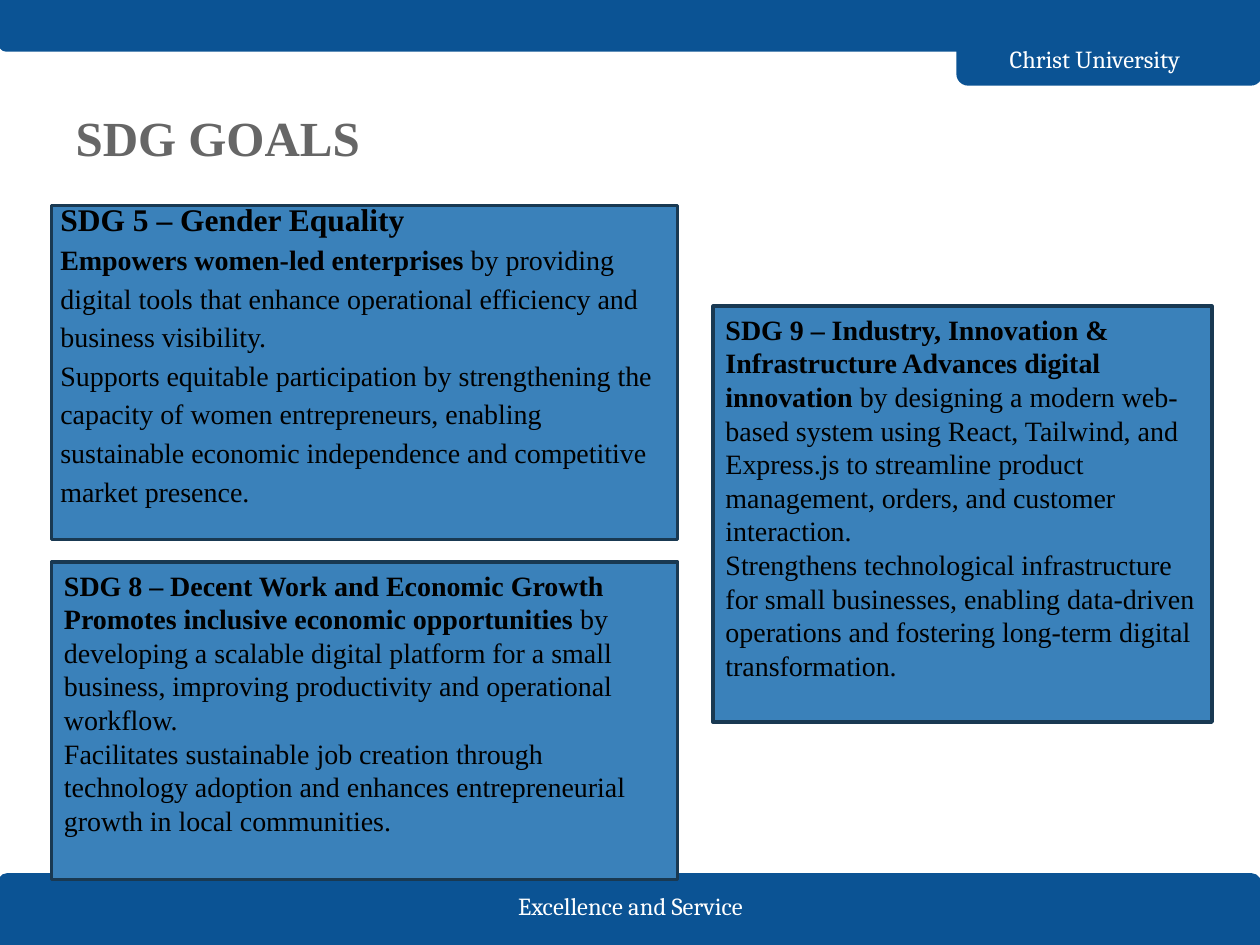
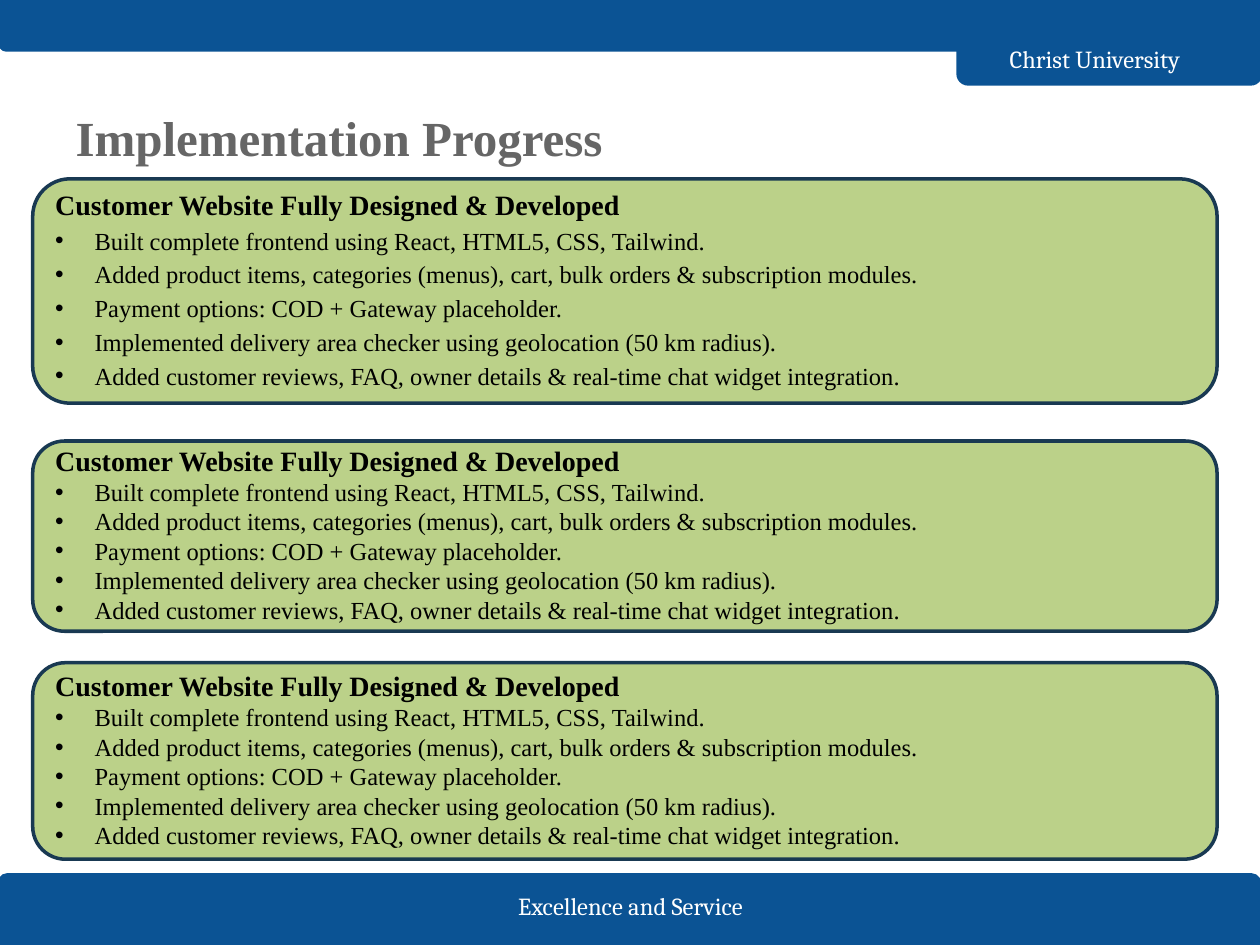
from pptx import Presentation
from pptx.dml.color import RGBColor
from pptx.enum.shapes import MSO_SHAPE as Geo
from pptx.enum.text import MSO_ANCHOR as Anchor, PP_ALIGN as Align
from pptx.oxml.ns import qn
from pptx.util import Pt
from lxml.etree import SubElement

HUE = {"band": "0B5394", "white": "FFFFFF", "title": "666666", "text": "000000",
       "card": "3A81BA", "panel": "BBD189", "edge": "193952"}
SERIF, LABEL = "Times New Roman", "Cambria"

GOALS = [
    # box, text box, inset, line spacing, heading size, paragraphs of (bold, plain)
    ((29.5, 117.4, 357.8, 190.8), (27.4, 103.7, 356.4, 217.4), 7.2, 1.15, 18, [
        ("SDG 5 – Gender Equality", ""),
        ("Empowers women-led enterprises", " by providing digital tools that enhance "
         "operational efficiency and business visibility."),
        ("", "Supports equitable participation by strengthening the capacity of women "
         "entrepreneurs, enabling sustainable economic independence and competitive "
         "market presence.")]),
    ((29.5, 321.1, 357.8, 181.4), None, 3.6, 1, 16, [
        ("SDG 8 – Decent Work and Economic Growth", ""),
        ("Promotes inclusive economic opportunities ", "by developing a scalable digital "
         "platform for a small business, improving productivity and operational workflow."),
        ("", "Facilitates sustainable job creation through technology adoption and "
         "enhances entrepreneurial growth in local communities.")]),
    ((407.5, 175, 285.1, 237.6), None, 3.6, 1, 16, [
        ("SDG 9 – Industry, Innovation & Infrastructure Advances digital innovation ",
         "by designing a modern web-based system using React, Tailwind, and Express.js to "
         "streamline product management, orders, and customer interaction."),
        ("", "Strengthens technological infrastructure for small businesses, enabling "
         "data-driven operations and fostering long-term digital transformation.")]),
]

HEAD = "Customer Website Fully Designed & Developed"
STEPS = [
    "Built complete frontend using React, HTML5, CSS, Tailwind.",
    "Added product items, categories (menus), cart, bulk orders & subscription modules.",
    "Payment options: COD + Gateway placeholder.",
    "Implemented delivery area checker using geolocation (50 km radius).",
    "Added customer reviews, FAQ, owner details & real-time chat widget integration.",
]
# top, height, text offset, line spacing
PANELS = [(102.2, 128.2, -1.4, 1.15), (252, 108.7, -2.2, 1), (378.7, 112.3, 0, 1)]


def tint(name):
    return RGBColor.from_string(HUE[name])


def style(item, size, color="text", face=SERIF, bold=False):
    font = item.font
    font.name, font.size, font.bold = face, Pt(size), bold
    font.color.rgb = tint(color)


def block(slide, geo, box, fill, edge, width):
    shape = slide.shapes.add_shape(geo, *map(Pt, box))
    shape.shadow.inherit = False
    shape.fill.solid()
    shape.fill.fore_color.rgb = tint(fill)
    shape.line.color.rgb = tint(edge)
    shape.line.width = Pt(width)
    return shape


def setup(frame, inset, anchor=Anchor.TOP):
    """Wrap a text frame, with 7.2 pt sides and the given top and bottom inset."""
    frame.word_wrap = True
    frame.vertical_anchor = anchor
    frame.margin_left = frame.margin_right = Pt(7.2)
    frame.margin_top = frame.margin_bottom = Pt(inset)
    return frame


def write(slide, box, inset, anchor=Anchor.TOP):
    return setup(slide.shapes.add_textbox(*map(Pt, box)).text_frame, inset, anchor)


def next_para(frame, first):
    return frame.paragraphs[0] if first else frame.add_paragraph()


def band(slide, box, turn=0):
    shape = block(slide, Geo.ROUND_2_SAME_RECTANGLE, box, "band", "band", 1.5)
    shape.adjustments[0] = 0.125
    shape.rotation = turn


def label(slide, box, text, space=1):
    para = write(slide, box, 7.2, Anchor.MIDDLE).paragraphs[0]
    para.text = text
    para.alignment = Align.CENTER
    para.line_spacing = space
    style(para, 14, "white", LABEL)


def start(deck, text):
    """Add a slide with its title, bands and labels."""
    slide = deck.slides.add_slide(deck.slide_layouts[5])
    band(slide, (-0.7, 499.7, 720.7, 40.3))
    label(slide, (263.5, 506.2, 193.7, 23), "Excellence and Service")
    band(slide, (547.2, 0, 173.5, 48.2), 180)
    band(slide, (0, 0, 720.7, 28.8), 180)
    label(slide, (547.2, 23, 157, 18), "Christ University", 1.2)

    title = slide.shapes.title
    title.left, title.top, title.width, title.height = map(Pt, (36, 48.2, 648, 54))
    para = setup(title.text_frame, 7.2, Anchor.BOTTOM).paragraphs[0]
    para.text = text
    para.alignment = Align.LEFT
    style(para, 28, "title", bold=True)
    return slide


def card(slide, box, over, inset, space, size, paras):
    """Draw a goal card; its text sits in the card, or in the box over it."""
    shape = block(slide, Geo.RECTANGLE, box, "card", "edge", 2)
    frame = write(slide, over, inset) if over else setup(shape.text_frame, inset)
    for n, parts in enumerate(paras):
        para = next_para(frame, n == 0)
        para.alignment = Align.LEFT
        para.line_spacing = space
        for text, bold in zip(parts, (True, False)):
            if text:
                run = para.add_run()
                run.text = text
                style(run, 16 if n else size, bold=bold)


def bullet(para):
    props = para._p.get_or_add_pPr()
    props.set("marL", str(Pt(22.5)))
    props.set("indent", str(-Pt(22.5)))
    SubElement(props, qn("a:buFont"), typeface="Arial")
    SubElement(props, qn("a:buChar"), char="•")


def panel(slide, top, high, shift, space):
    block(slide, Geo.ROUNDED_RECTANGLE, (18.7, top, 676.8, high), "panel", "edge", 2)
    frame = write(slide, (24.5, top + shift, 629.3, high), 3.6)
    for n, text in enumerate([HEAD, *STEPS]):
        para = next_para(frame, n == 0)
        para.text = text
        para.line_spacing = space
        if n:
            bullet(para)
        style(para, 14 if n else 16, bold=n == 0)


def main():
    deck = Presentation()
    deck.slide_width, deck.slide_height = Pt(720), Pt(540)
    slide = start(deck, "SDG GOALS")
    for goal in GOALS:
        card(slide, *goal)
    slide = start(deck, "Implementation Progress")
    for part in PANELS:
        panel(slide, *part)
    deck.save("out.pptx")


if __name__ == "__main__":
    main()
